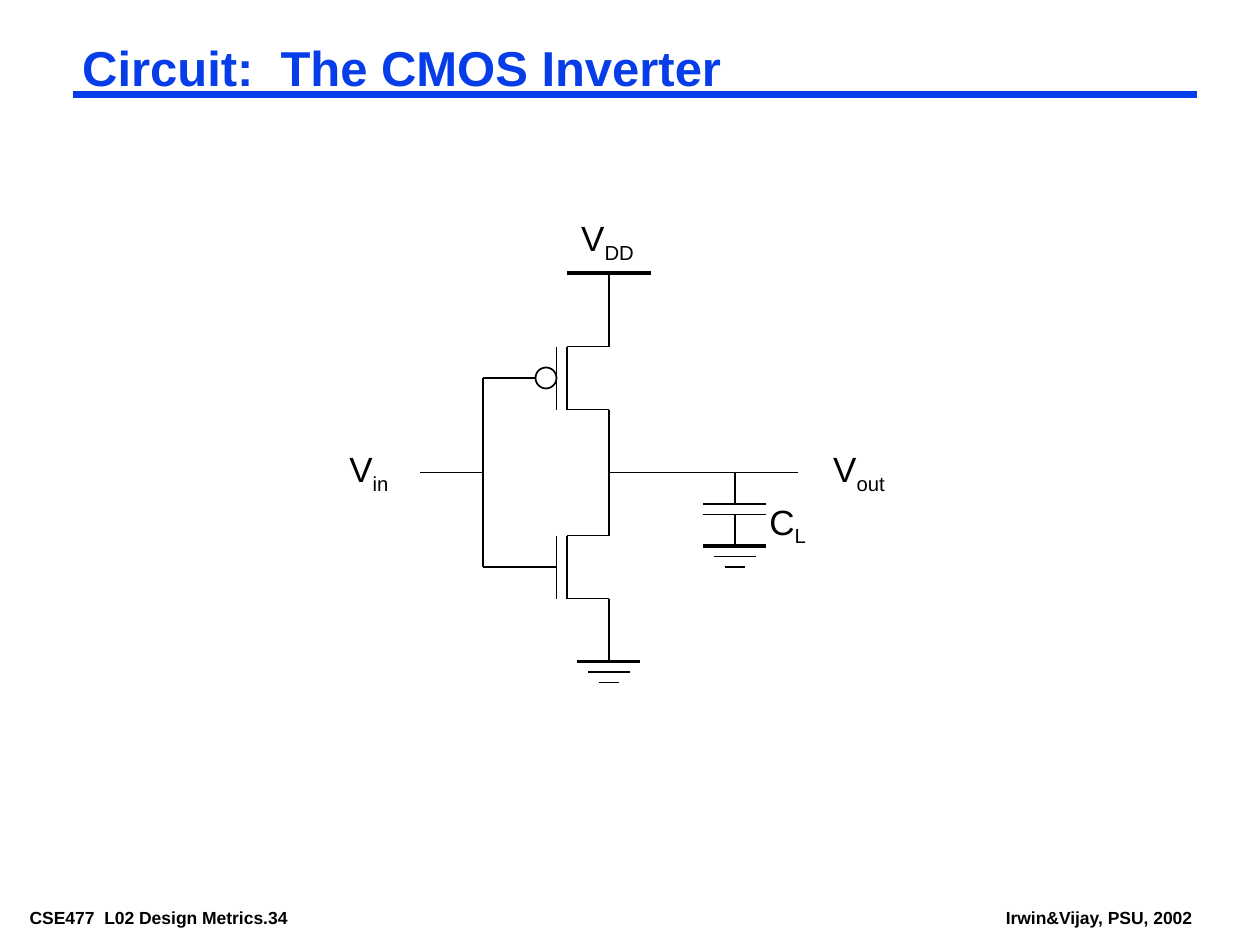
import pptx
import pptx.util
import pptx.dml.color
import pptx.enum.shapes
import pptx.enum.text
import pptx.oxml.ns
from lxml import etree

Pt = pptx.util.Pt
COLORS = {"ink": "000000", "accent": "063DE8"}
THIN, THICK, RULE = 1, 2.25, 4.5

TITLE = "Circuit:  The CMOS Inverter"
FOOTERS = [  # text, left, width
    ("CSE477  L02 Design Metrics.34", 12, 194.5),
    ("Irwin&Vijay, PSU, 2002", 569.75, 119),
]
LABELS = [  # symbol, subscript, left, top, width
    ("V", "DD", 325, 120.25, 47),
    ("V", "out", 469, 252, 46),
    ("C", "L", 432.5, 282.25, 38),
    ("V", "in", 192.5, 252, 40),
]

# Circuit grid: column and row positions
INPUT_X, GATE_X, CHANNEL_X, DRAIN_X, LOAD_X = 276, 318, 324, 348, 420
SUPPLY_Y, PMOS_Y, MID_Y, NMOS_Y, GROUND_Y = 156, 216, 270, 324, 378
HALF = 18    # half the height of a transistor, half the width of a plate
STEP = 6     # gap between neighbouring plates or ground bars
BUBBLE = 12  # diameter of the inverting bubble
PLATE_Y, LOAD_GROUND_Y = 288, 312

WIRES = [  # x1, y1, x2, y2, width
    (DRAIN_X - 24, SUPPLY_Y, DRAIN_X + 24, SUPPLY_Y, THICK),
    (DRAIN_X, SUPPLY_Y, DRAIN_X, PMOS_Y - HALF, THIN),
    (DRAIN_X, PMOS_Y + HALF, DRAIN_X, NMOS_Y - HALF, THIN),
    (DRAIN_X, NMOS_Y + HALF, DRAIN_X, GROUND_Y, THIN),
    (DRAIN_X, MID_Y, 456, MID_Y, THIN),
    (240, MID_Y, INPUT_X, MID_Y, THIN),
    (INPUT_X, PMOS_Y, INPUT_X, NMOS_Y, THIN),
    (INPUT_X, PMOS_Y, GATE_X - BUBBLE, PMOS_Y, THIN),
    (INPUT_X, NMOS_Y, GATE_X, NMOS_Y, THIN),
    (LOAD_X, MID_Y, LOAD_X, PLATE_Y, THIN),
    (LOAD_X, PLATE_Y + STEP, LOAD_X, LOAD_GROUND_Y, THIN),
]


def color(name):
    return pptx.dml.color.RGBColor.from_string(COLORS[name])


def add_line(shapes, x1, y1, x2, y2, width=THIN, ink="ink"):
    s = shapes.add_connector(pptx.enum.shapes.MSO_CONNECTOR.STRAIGHT,
                             Pt(x1), Pt(y1), Pt(x2), Pt(y2))
    s.line.width = Pt(width)
    s.line.color.rgb = color(ink)
    etree.SubElement(s._element.spPr, pptx.oxml.ns.qn("a:effectLst"))


def add_transistor(shapes, y):
    top, bottom = y - HALF, y + HALF
    for x in (GATE_X, CHANNEL_X):
        add_line(shapes, x, top, x, bottom)
    for edge in (top, bottom):
        add_line(shapes, CHANNEL_X, edge, DRAIN_X, edge)


def add_ground(shapes, x, y):
    for i, width in enumerate((THICK, THIN, THIN)):
        half = HALF - i * STEP
        add_line(shapes, x - half, y + i * STEP, x + half, y + i * STEP, width)


def add_text(shapes, box, runs, size, insets, ink="ink", bold=False, wrap=False):
    """Add a text box; runs are (text, is_subscript) pairs."""
    s = shapes.add_textbox(*map(Pt, box))
    tf = s.text_frame
    tf.word_wrap = wrap
    x, y = map(Pt, insets)
    frame = {"margin_left": x, "margin_right": x, "margin_top": y, "margin_bottom": y}
    for name, value in frame.items():
        setattr(tf, name, value)
    for text, subscript in runs:
        r = tf.paragraphs[0].add_run()
        r.text = text
        for name, value in {"name": "Arial", "size": Pt(size), "bold": bold}.items():
            setattr(r.font, name, value)
        r.font.color.rgb = color(ink)
        if subscript:
            r.font._element.set("baseline", "-25000")
    return tf


def add_circuit(shapes):
    for wire in WIRES:
        add_line(shapes, *wire)
    for y in (PMOS_Y, NMOS_Y):
        add_transistor(shapes, y)
    for y in (PLATE_Y, PLATE_Y + STEP):
        add_line(shapes, LOAD_X - HALF, y, LOAD_X + HALF, y)
    add_ground(shapes, DRAIN_X, GROUND_Y)
    add_ground(shapes, LOAD_X, LOAD_GROUND_Y)

    s = shapes.add_shape(pptx.enum.shapes.MSO_SHAPE.OVAL, Pt(GATE_X - BUBBLE),
                         Pt(PMOS_Y - BUBBLE / 2), Pt(BUBBLE), Pt(BUBBLE))
    s.shadow.inherit = False
    s.fill.background()
    s.line.width = Pt(THIN)
    s.line.color.rgb = color("ink")

    for symbol, subscript, left, top, width in LABELS:
        add_text(shapes, (left, top, width, 34.5),
                 [(symbol, False), (subscript, True)], 20, (7.2, 3.6))


def main():
    prs = pptx.Presentation()
    prs.slide_width, prs.slide_height = Pt(720), Pt(540)
    shapes = prs.slides.add_slide(prs.slide_layouts[6]).shapes

    for text, left, width in FOOTERS:
        add_text(shapes, (left, 516.5, width, 16), [(text, False)], 10, (5, 2), bold=True)
    add_line(shapes, 42, 54, 684, 54, RULE, "accent")
    tf = add_text(shapes, (42, 24.5, 630, 33), [(TITLE, False)], 28, (5, 2),
                  ink="accent", bold=True, wrap=True)
    tf.paragraphs[0].line_spacing = 0.87
    tf.vertical_anchor = pptx.enum.text.MSO_ANCHOR.BOTTOM
    add_circuit(shapes)
    prs.save("out.pptx")


if __name__ == "__main__":
    main()
